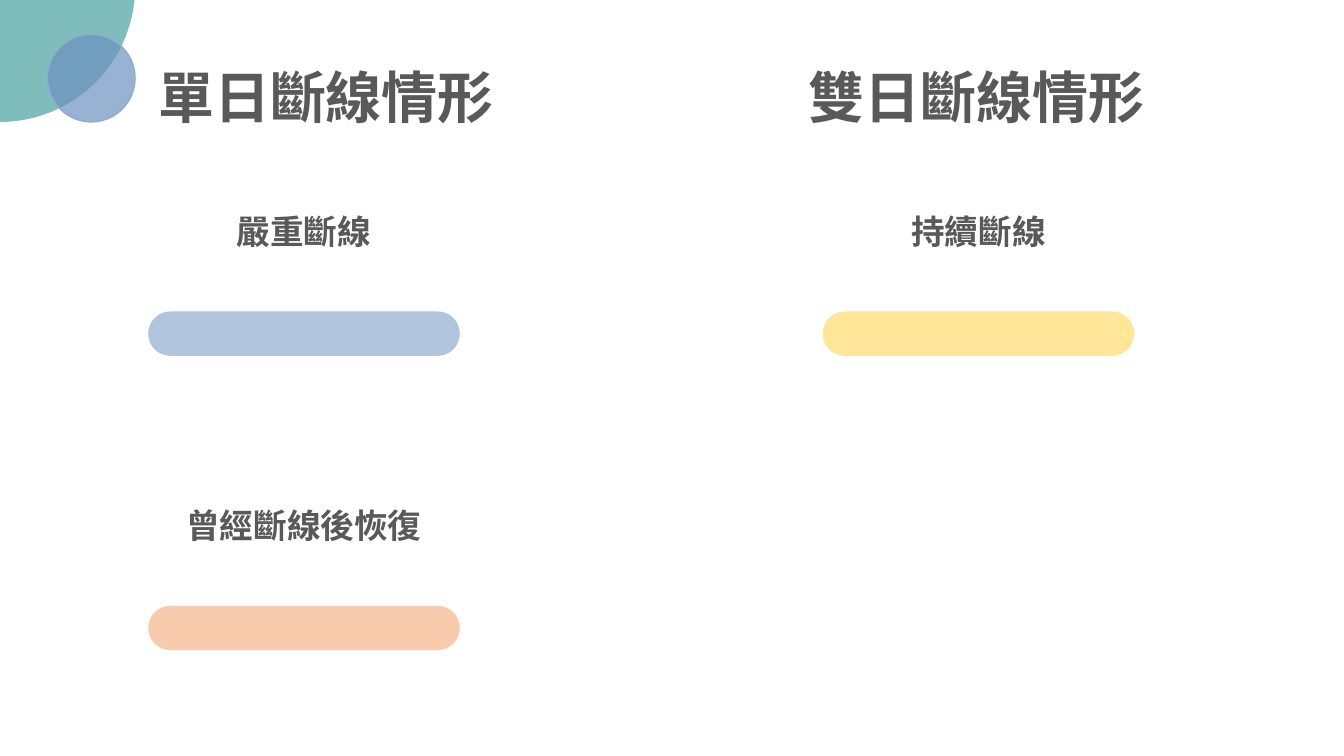
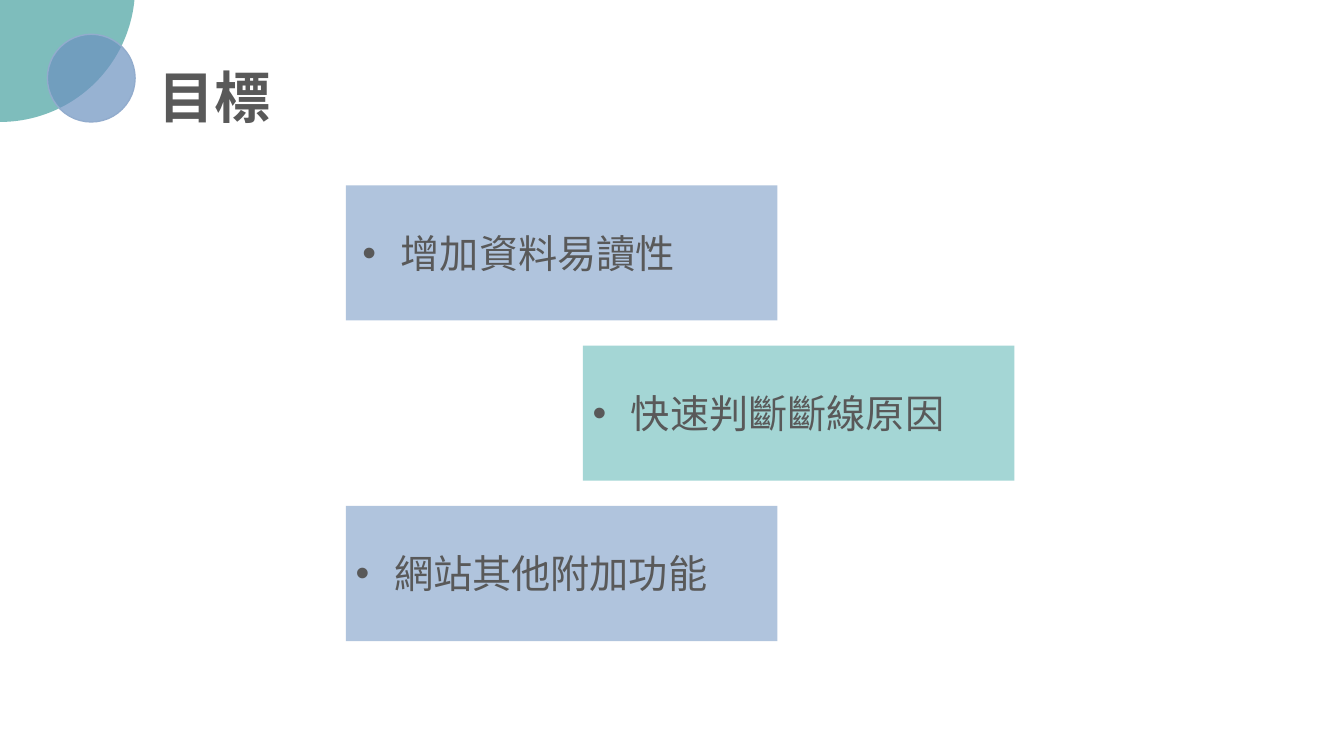
"""Build two slides on disconnection cases and project goals."""
from lxml.etree import SubElement
from pptx import Presentation
from pptx.dml.color import RGBColor
from pptx.enum.shapes import MSO_SHAPE
from pptx.enum.text import MSO_AUTO_SIZE, PP_ALIGN
from pptx.oxml.ns import qn
from pptx.util import Inches, Pt

COLORS = {
    "text": "595959",
    "teal": "48A2A0",
    "blue": "6C92C0",
    "ring": "92ACCD",
    "pale_blue": "B0C4DD",
    "pale_teal": "A4D6D5",
    "peach": "F8CBAD",
    "yellow": "FFE699",
}
FONT = "Noto Sans CJK SC"
TITLE_LEFT = 1.47
BAR_WIDTH = 3.09
CARD_WIDTH, CARD_HEIGHT, CARD_STEP = 4.28, 1.34, 1.59


class SlideBuilder:
    def __init__(self):
        self.deck = Presentation()
        self.deck.slide_width = Inches(13.33)
        self.deck.slide_height = Inches(7.5)
        self.page = None

    def new_page(self):
        self.page = self.deck.slides.add_slide(self.deck.slide_layouts[6])
        self.shape(MSO_SHAPE.OVAL, -1.34, -1.47, 2.68, 2.68, "teal", alpha=70)
        self.shape(MSO_SHAPE.OVAL, 0.47, 0.34, 0.87, 0.87, "blue", alpha=70, line="ring")

    def shape(self, kind, left, top, width, height, fill, alpha=None, line=None):
        shape = self.page.shapes.add_shape(
            kind, Inches(left), Inches(top), Inches(width), Inches(height))
        shape.shadow.inherit = False
        shape.fill.solid()
        shape.fill.fore_color.rgb = RGBColor.from_string(COLORS[fill])
        if alpha:
            color = shape.fill._xPr.find(qn("a:solidFill"))[0]
            SubElement(color, qn("a:alpha")).set("val", str(alpha * 1000))
        if line:
            shape.line.color.rgb = RGBColor.from_string(COLORS[line])
            shape.line.width = Pt(1)
        else:
            shape.line.fill.background()
        return shape

    def text(self, words, left, top, width, height, size, bold=True,
             align=PP_ALIGN.LEFT, wrap=False):
        box = self.page.shapes.add_textbox(
            Inches(left), Inches(top), Inches(width), Inches(height))
        frame = box.text_frame
        frame.text = words
        frame.word_wrap = wrap
        frame.auto_size = MSO_AUTO_SIZE.SHAPE_TO_FIT_TEXT
        para = frame.paragraphs[0]
        para.alignment = align
        span = para.runs[0]
        span.font.size = Pt(size)
        span.font.bold = bold
        span.font.name = FONT
        span.font.color.rgb = RGBColor.from_string(COLORS["text"])
        SubElement(span.font._element, qn("a:ea")).set("typeface", FONT)
        return para

    def title(self, words, left=TITLE_LEFT, width=3.57):
        self.text(words, left, 0.57, width, 0.77, 40)

    def labelled_bar(self, words, left, top, label_width, fill):
        label_left = left + (BAR_WIDTH - label_width) / 2
        self.text(words, label_left, top, label_width, 0.5, 24, align=PP_ALIGN.CENTER)
        bar = self.shape(MSO_SHAPE.ROUNDED_RECTANGLE, left, top + 1.05,
                         BAR_WIDTH, 0.44, fill)
        bar.adjustments[0] = 0.5

    def goal_card(self, words, left, top, text_width, fill, align):
        self.shape(MSO_SHAPE.RECTANGLE, left, top, CARD_WIDTH, CARD_HEIGHT, fill)
        para = self.text(words, left, top + (CARD_HEIGHT - 0.57) / 2, text_width, 0.57,
                         28, bold=False, align=align, wrap=True)
        properties = para._p.get_or_add_pPr()
        properties.set("marL", str(Inches(0.38)))
        properties.set("indent", str(Inches(-0.38)))
        SubElement(properties, qn("a:buFont")).set("typeface", "Arial")
        SubElement(properties, qn("a:buChar")).set("char", "•")


def main():
    builder = SlideBuilder()

    builder.new_page()
    builder.title("單日斷線情形")
    builder.title("雙日斷線情形", left=7.92)
    builder.labelled_bar("嚴重斷線", TITLE_LEFT, 2.04, 1.55, "pale_blue")
    builder.labelled_bar("曾經斷線後恢復", TITLE_LEFT, 4.96, 2.56, "peach")
    builder.labelled_bar("持續斷線", 8.16, 2.04, 1.55, "yellow")

    builder.new_page()
    builder.title("目標", width=1.32)
    goals = [
        ("增加資料易讀性", 3.43, 3.43, "pale_blue", PP_ALIGN.CENTER),
        ("快速判斷斷線原因", 5.78, 3.74, "pale_teal", PP_ALIGN.LEFT),
        ("網站其他附加功能", 3.43, 3.74, "pale_blue", PP_ALIGN.LEFT),
    ]
    for row, (words, left, text_width, fill, align) in enumerate(goals):
        builder.goal_card(words, left, 1.84 + row * CARD_STEP, text_width, fill, align)

    builder.deck.save("out.pptx")


if __name__ == "__main__":
    main()
